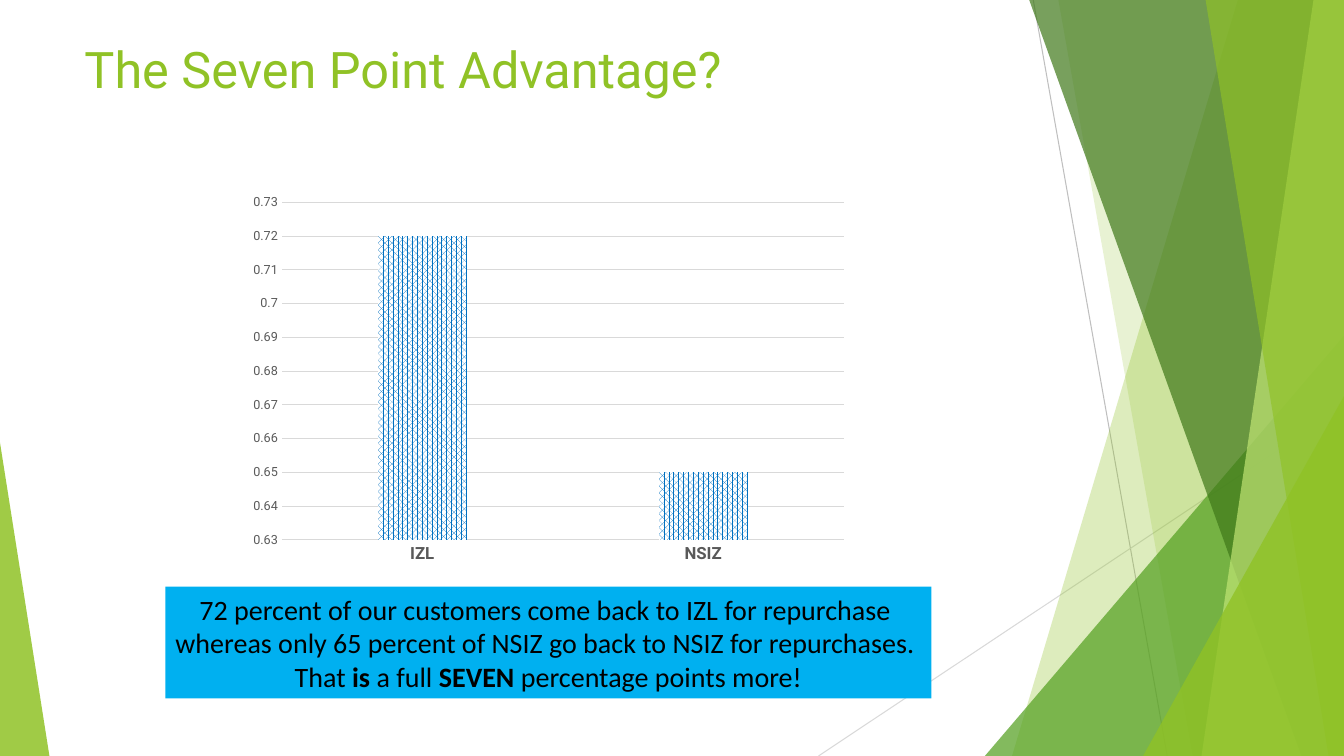
from dataclasses import dataclass

from lxml.etree import SubElement
from pptx import Presentation
from pptx.chart.data import CategoryChartData
from pptx.dml.color import RGBColor
from pptx.enum.chart import XL_CHART_TYPE as ChartType, XL_TICK_MARK as TickMark
from pptx.enum.dml import MSO_PATTERN as Pattern
from pptx.enum.shapes import MSO_CONNECTOR as Connector, MSO_SHAPE as Shape
from pptx.enum.text import MSO_ANCHOR as Anchor, PP_ALIGN as Align
from pptx.oxml.ns import qn
from pptx.util import Inches, Pt


@dataclass(frozen=True)
class Theme:
    lime: str = "90C226"
    green: str = "54A021"
    forest: str = "3F7819"
    pale: str = "C0E474"
    blue: str = "0070C0"
    sky: str = "00B0F0"
    white: str = "FFFFFF"
    black: str = "000000"
    label: str = "595959"
    grid: str = "D9D9D9"
    rule: str = "BFBFBF"
    heading_font: str = "Roboto"
    body_font: str = "Calibri"
    title_size: int = 36
    body_size: int = 20
    category_size: int = 12
    chart_size: int = 10
    value_size: int = 9
    line_width: float = 0.75


THEME = Theme()
WIDTH, HEIGHT = Inches(13.33), Inches(7.5)


# Lengths are percentages of the slide's width and height
def across(share):
    return round(WIDTH * share / 100)


def down(share):
    return round(HEIGHT * share / 100)


def place(left, top, width, height):
    return across(left), down(top), across(width), down(height)


# Formatting
def set_all(target, values):
    for name, value in values.items():
        setattr(target, name, value)


def style_font(font, size, color, name, bold=False):
    set_all(font, {"size": Pt(size), "name": name, "bold": bold})
    font.color.rgb = RGBColor.from_string(color)


def style_line(line, color):
    line.color.rgb = RGBColor.from_string(color)
    line.width = Pt(THEME.line_width)


def paint(shape, color, opacity=100):
    shape.shadow.inherit = False
    shape.line.fill.background()
    shape.fill.solid()
    shape.fill.fore_color.rgb = RGBColor.from_string(color)
    if opacity < 100:
        tint = shape.fill._xPr.find(f".//{qn('a:srgbClr')}")
        SubElement(tint, qn("a:alpha"), val=str(opacity * 1000))


# Backdrop elements
def add_rule(page, start, end, color):
    rule = page.shapes.add_connector(
        Connector.STRAIGHT, across(start[0]), down(start[1]), across(end[0]), down(end[1]))
    style_line(rule.line, color)
    SubElement(rule._element.spPr, qn("a:effectLst"))


def add_band(page, top_x, bottom_x, color, opacity):
    """A band from a slanted left edge to the right side of the slide."""
    outline = page.shapes.build_freeform(across(top_x), 0)
    outline.add_line_segments([(WIDTH, 0), (WIDTH, HEIGHT), (across(bottom_x), HEIGHT)])
    paint(outline.convert_to_shape(), color, opacity)


def add_corner(page, left, right, top, peak, color, opacity):
    """A triangle that stands on the bottom of the slide."""
    corner = page.shapes.add_shape(
        Shape.ISOSCELES_TRIANGLE, *place(left, top, right - left, 100 - top))
    corner.adjustments[0] = peak
    paint(corner, color, opacity)


def add_backdrop(page):
    add_rule(page, (76.88, 0), (86.85, 100), THEME.rule)
    add_rule(page, (100, 53.73), (60.9, 100), THEME.grid)
    add_band(page, 92.1, 75.3, THEME.lime, 30)
    add_band(page, 78.75, 88.73, THEME.lime, 20)
    add_corner(page, 73.28, 100, 44.4, 1, THEME.green, 72)
    add_band(page, 76.58, 96.83, THEME.forest, 70)
    add_band(page, 97.73, 89.4, THEME.pale, 70)
    add_band(page, 89.7, 98.85, THEME.lime, 65)
    add_corner(page, 85.05, 100, 52.4, 1, THEME.lime, 80)
    add_corner(page, 0, 3.68, 58.53, 0, THEME.lime, 85)


# Text: each line is a list of (words, bold) spans
def write(box, lines, size, color, font, align, anchor):
    set_all(box.text_frame, {"word_wrap": True, "vertical_anchor": anchor})
    for index, line in enumerate(lines):
        para = box.text_frame.paragraphs[0] if index == 0 else box.text_frame.add_paragraph()
        para.alignment = align
        for words, bold in line:
            span = para.add_run()
            span.text = words
            style_font(span.font, size, color, font, bold)


def add_title(page, words):
    box = page.shapes.add_textbox(*place(5.55, 4.4, 70.5, 13.6))
    write(box, [[(words, False)]], THEME.title_size, THEME.lime,
          THEME.heading_font, Align.LEFT, Anchor.TOP)


def add_callout(page, lines):
    box = page.shapes.add_shape(Shape.RECTANGLE, *place(12.3, 77.6, 57, 14.8))
    paint(box, THEME.sky)
    write(box, lines, THEME.body_size, THEME.black,
          THEME.body_font, Align.CENTER, Anchor.MIDDLE)


# Chart
def add_repurchase_chart(page, rates):
    data = CategoryChartData()
    data.categories = list(rates)
    data.add_series("Series 1", list(rates.values()))
    chart = page.shapes.add_chart(
        ChartType.COLUMN_CLUSTERED, *place(17.93, 24.8, 45.75, 50.8), data).chart
    set_all(chart, {"has_legend": False, "has_title": False})
    style_font(chart.font, THEME.chart_size, THEME.black, THEME.heading_font)

    plot = chart.plots[0]
    set_all(plot, {"gap_width": 219, "overlap": -27, "vary_by_categories": False})
    fill = plot.series[0].format.fill
    fill.patterned()
    fill.pattern = Pattern.PERCENT_70
    fill.fore_color.rgb = RGBColor.from_string(THEME.blue)
    fill.back_color.rgb = RGBColor.from_string(THEME.white)

    names, values = chart.category_axis, chart.value_axis
    for axis, size, bold in ((names, THEME.category_size, True),
                             (values, THEME.value_size, False)):
        set_all(axis, {"major_tick_mark": TickMark.NONE, "minor_tick_mark": TickMark.NONE})
        style_font(axis.tick_labels.font, size, THEME.label, THEME.heading_font, bold)
    style_line(names.format.line, THEME.grid)
    set_all(values, {"minimum_scale": 0.63, "maximum_scale": 0.73,
                     "major_unit": 0.01, "has_major_gridlines": True})
    values.format.line.fill.background()
    style_line(values.major_gridlines.format.line, THEME.grid)


def main():
    deck = Presentation()
    set_all(deck, {"slide_width": WIDTH, "slide_height": HEIGHT})
    page = deck.slides.add_slide(deck.slide_layouts[6])
    ours, rival = "IZL", "NSIZ"

    add_backdrop(page)
    add_title(page, "The Seven Point Advantage?")
    add_repurchase_chart(page, {ours: 0.72, rival: 0.65})
    add_callout(page, [
        [(f"72 percent of our customers come back to {ours} for repurchase ", False)],
        [(f"whereas only 65 percent of {rival} go back to {rival} for repurchases. ", False)],
        [("That ", False), ("is", True), (" a full ", False), ("SEVEN", True),
         (" percentage points more!", False)],
    ])
    deck.save("out.pptx")


main()
